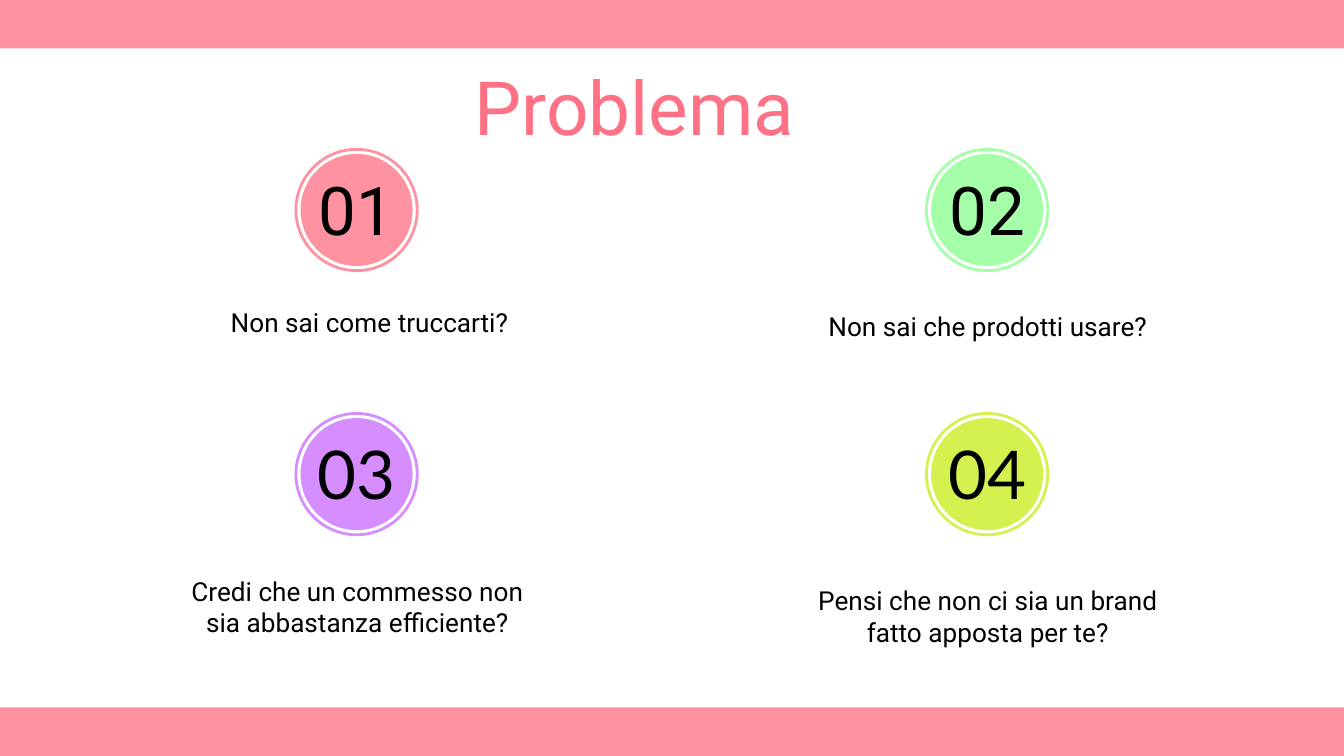
from pptx import Presentation
from pptx.dml.color import RGBColor
from pptx.enum.shapes import MSO_SHAPE
from pptx.enum.text import MSO_ANCHOR, MSO_AUTO_SIZE, PP_ALIGN
from pptx.util import Pt
from lxml.etree import SubElement
from pptx.oxml.ns import qn

PINK = RGBColor(0xFF, 0x92, 0xA1)
ROSE = RGBColor(0xFF, 0x71, 0x85)
GREEN = RGBColor(0xA5, 0xFF, 0xA8)
PURPLE = RGBColor(0xD6, 0x8E, 0xFF)
LIME = RGBColor(0xD4, 0xF2, 0x4F)
BLACK = RGBColor(0, 0, 0)

WIDTH, HEIGHT, BAR = 720, 405, 26
COLUMNS, ROWS = (191, 528.8), (112.5, 254)  # badge centres
RING, DISC = 65, 60

# Number, font, colour, caption, caption left and top
PROBLEMS = [
    ("01", "Roboto", PINK, "Non sai come truccarti?", 94.3, 157),
    ("02", "Roboto", GREEN, "Non sai che prodotti usare?", 425.5, 159),
    ("03", "Lato", PURPLE,
     "Credi che un commesso non sia abbastanza efficiente?", 87.8, 301),
    ("04", "Lato", LIME,
     "Pensi che non ci sia un brand fatto apposta per te?", 425.5, 306),
]


def place(sp, left, top, width, height):
    box = {"left": left, "top": top, "width": width, "height": height}
    for name, value in box.items():
        setattr(sp, name, Pt(value))


def write(sp, text, size, font="Roboto", color=BLACK, align=PP_ALIGN.CENTER,
          anchor=MSO_ANCHOR.TOP, spacing=1.0):
    tf = sp.text_frame
    frame = {"word_wrap": True, "auto_size": MSO_AUTO_SIZE.NONE,
             "vertical_anchor": anchor}
    for side in ("left", "top", "right", "bottom"):
        frame[f"margin_{side}"] = Pt(7.2)
    for name, value in frame.items():
        setattr(tf, name, value)

    p = tf.paragraphs[0]
    paragraph = {"alignment": align, "line_spacing": spacing,
                 "space_before": Pt(0), "space_after": Pt(0)}
    for name, value in paragraph.items():
        setattr(p, name, value)

    r = p.add_run()
    r.text = text
    for name, value in {"name": font, "size": Pt(size), "bold": False}.items():
        setattr(r.font, name, value)
    r.font.color.rgb = color
    return p


def add_shape(shapes, kind, box, fill=None, line=None):
    sp = shapes.add_shape(kind, *(Pt(v) for v in box))
    sp.shadow.inherit = False
    if fill is None:
        sp.fill.background()
    else:
        sp.fill.solid()
        sp.fill.fore_color.rgb = fill
    if line is None:
        sp.line.fill.background()
    else:
        sp.line.color.rgb = line
        sp.line.width = Pt(1.5)


def add_badge(s, x, y, number, font, color):
    group = s.shapes.add_group_shape()
    for size, style in ((DISC, {"fill": color}), (RING, {"line": color})):
        box = (x - size / 2, y - size / 2, size, size)
        add_shape(group.shapes, MSO_SHAPE.OVAL, box, **style)
    label = s.shapes.add_textbox(0, 0, 0, 0)
    place(label, x - 41.4, y - 14.5, 82.8, 36)
    write(label, number, 36, font, anchor=MSO_ANCHOR.MIDDLE, spacing=0.8)


def add_caption(sp, text, left, top):
    place(sp, left, top, 207.4, 43.2)
    pPr = write(sp, text, 14)._p.get_or_add_pPr()
    # No bullet or hanging indent
    pPr.set("marL", "0")
    pPr.set("indent", "0")
    SubElement(pPr, qn("a:buNone"))


def main():
    prs = Presentation()
    prs.slide_width, prs.slide_height = Pt(WIDTH), Pt(HEIGHT)
    s = prs.slides.add_slide(prs.slide_layouts.get_by_name("Comparison"))
    title, *captions = s.placeholders

    # Bars along the top and bottom edges
    for top in (0, HEIGHT - BAR):
        add_shape(s.shapes, MSO_SHAPE.RECTANGLE, (0, top, WIDTH, BAR), PINK)

    # Title
    place(title, 247, 34.6, 224.6, 39.6)
    write(title, "Problema", 40, color=ROSE, align=PP_ALIGN.LEFT, spacing=0.8)

    # Two by two grid of problems
    for i, (number, font, color, text, left, top) in enumerate(PROBLEMS):
        add_badge(s, COLUMNS[i % 2], ROWS[i // 2], number, font, color)
        add_caption(captions[i], text, left, top)

    prs.save("out.pptx")


if __name__ == "__main__":
    main()
